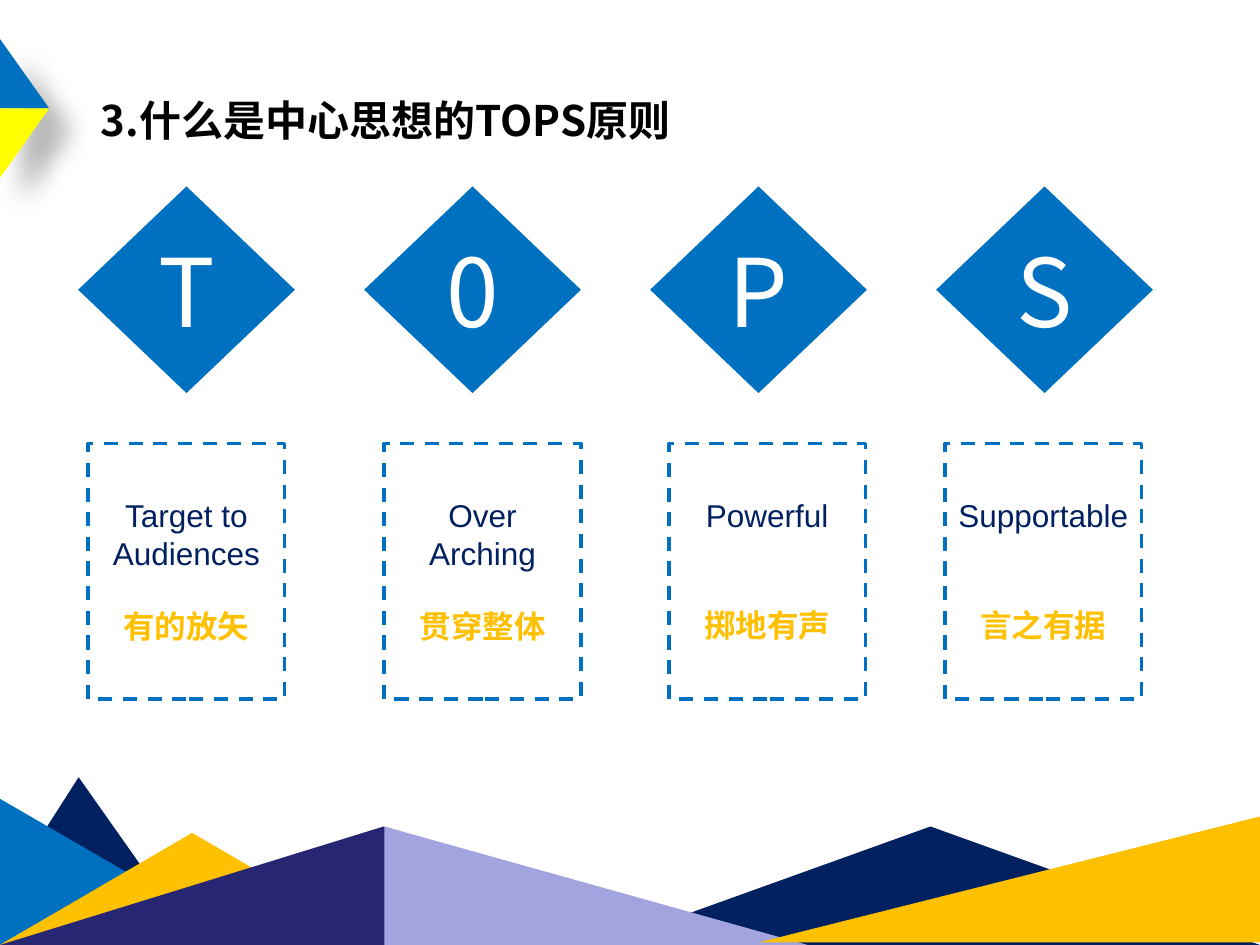
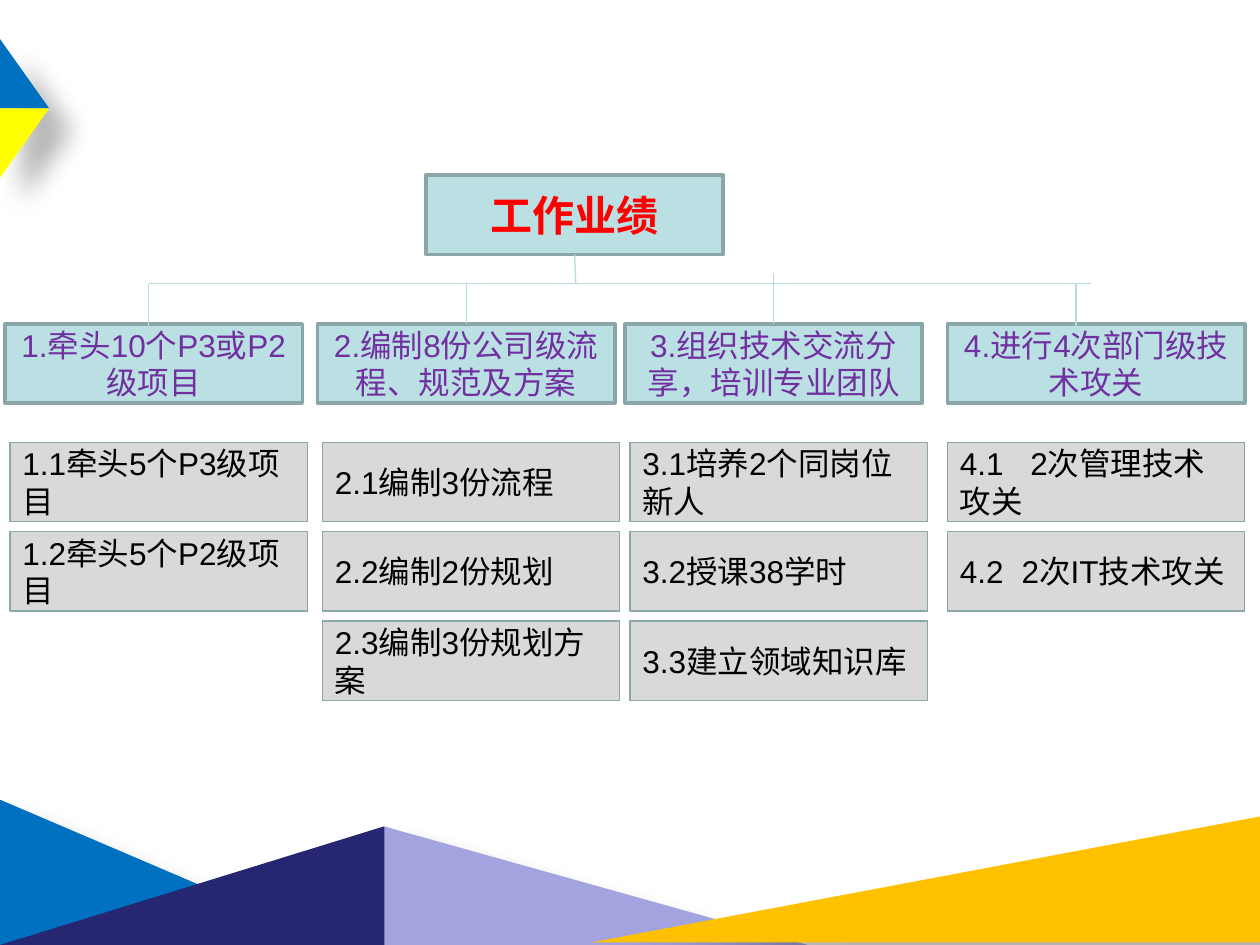
from lxml import etree
from pptx import Presentation
from pptx.dml.color import RGBColor
from pptx.enum.dml import MSO_LINE
from pptx.enum.shapes import MSO_CONNECTOR, MSO_SHAPE
from pptx.enum.text import MSO_ANCHOR, MSO_AUTO_SIZE, PP_ALIGN
from pptx.oxml.ns import qn
from pptx.util import Inches, Pt

TRI, RIGHT = MSO_SHAPE.ISOSCELES_TRIANGLE, MSO_SHAPE.RIGHT_TRIANGLE
RECT, GEM = MSO_SHAPE.RECTANGLE, MSO_SHAPE.DIAMOND
LINE, DASH = MSO_CONNECTOR.STRAIGHT, MSO_LINE.DASH
LEFT, MID = PP_ALIGN.LEFT, PP_ALIGN.CENTER
TOP, CORE = MSO_ANCHOR.TOP, MSO_ANCHOR.MIDDLE
FIXED = MSO_AUTO_SIZE.NONE

HUES = {
    "blue": "0070C0", "yellow": "FFFF00", "gold": "FFC000", "navy": "002060",
    "indigo": "262673", "lilac": "A3A3E0", "white": "FFFFFF", "black": "000000",
    "red": "FF0000", "purple": "7030A0", "mint": "BBE0E3", "edge": "8AA6A8",
    "link": "B6DCDF", "grey": "D9D9D9",
}
SANS, HAN = "Arial", "Noto Sans CJK SC"


def hue(name):
    """Return the named colour."""
    return RGBColor.from_string(HUES[name])


class Deck:
    """Holds the shared style and the current slide."""

    def __init__(self):
        self.show = Presentation()
        self.show.slide_width, self.show.slide_height = Inches(10), Inches(7.5)

    def page(self):
        """Start a slide with a title."""
        self.slide = self.show.slides.add_slide(self.show.slide_layouts[5])

    def paint(self, shape, fill, edge=None, width=0.0, dash=None):
        """Set the fill and outline of a shape."""
        shape.fill.solid()
        shape.fill.fore_color.rgb = hue(fill)
        if edge:
            shape.line.color.rgb = hue(edge)
            shape.line.width = Pt(width)
            if dash:
                shape.line.dash_style = dash
        else:
            shape.line.fill.background()

    def form(self, kind, spot, fill, **edge):
        """Add a preset shape."""
        shape = self.slide.shapes.add_shape(kind, *map(Inches, spot))
        shape.shadow.inherit = False
        self.paint(shape, fill, **edge)
        return shape

    def peak(self, kind, spot, fill, turn=0, shade=False, flip=False):
        """Add a triangle, turned, flipped or shaded at will."""
        shape = self.form(kind, spot, fill)
        shape.rotation = turn
        props = shape._element.spPr
        if flip:
            props.xfrm.set("flipH", "1")
        if shade:
            cast = etree.SubElement(
                props.find(qn("a:effectLst")), qn("a:outerShdw"),
                blurRad=str(Pt(15)), dist=str(Pt(18)), dir="2700000",
                algn="tl", rotWithShape="0")
            tone = etree.SubElement(cast, qn("a:srgbClr"), val=HUES["black"])
            etree.SubElement(tone, qn("a:alpha"), val="30000")

    def label(self, shape, lines, anchor=CORE, align=MID, tab=None, lead=None):
        """Fill a shape with lines of (text, size, font, colour, bold, gap)."""
        frame = shape.text_frame
        frame.word_wrap, frame.auto_size = True, FIXED
        frame.vertical_anchor = anchor
        for i, (text, size, font, tint, bold, gap) in enumerate(lines):
            para = frame.add_paragraph() if i else frame.paragraphs[0]
            para.alignment = align
            para.space_before = Pt(gap)
            if lead:
                para.line_spacing = Pt(lead)
            if tab:
                stops = etree.SubElement(para._p.get_or_add_pPr(), qn("a:tabLst"))
                etree.SubElement(stops, qn("a:tab"), pos=str(Inches(tab)), algn="l")
            run = para.add_run()
            run.text = text
            run.font.name, run.font.size = font, Pt(size)
            run.font.bold, run.font.color.rgb = bold, hue(tint)
            east = etree.Element(qn("a:ea"), typeface=HAN)
            run._r.rPr.find(qn("a:latin")).addnext(east)

    def title(self, text, spot, tint, **style):
        """Place and format the title."""
        shape = self.slide.shapes.title
        shape.left, shape.top, shape.width, shape.height = map(Inches, spot)
        self.label(shape, [(text, 24, HAN, tint, True, 0)], **style)
        return shape

    def link(self, x1, y1, x2, y2):
        """Add a thin line."""
        line = self.slide.shapes.add_connector(LINE, *map(Inches, (x1, y1, x2, y2)))
        line.line.color.rgb, line.line.width = hue("link"), Pt(0.75)
        etree.SubElement(line._element.spPr, qn("a:effectLst"))

    def flag(self):
        """Draw the two-tone flag at the left edge."""
        self.peak(RIGHT, (0, 0.31, 0.39, 0.55), "blue", shade=True)
        self.peak(RIGHT, (0, 0.86, 0.39, 0.55), "yellow", 180, True, True)

    def hills(self, span, shade=False):
        """Draw the shared hills, the gold one as wide as span."""
        self.peak(TRI, (0, 6.56, 6.09, 0.94), "indigo", shade=shade)
        self.peak(RIGHT, (3.05, 6.56, 3.36, 0.94), "lilac", shade=shade)
        spot = (10 - span / 2 - 0.5, 6.98 - span / 2, 1, span)
        self.peak(RIGHT, spot, "gold", 270, shade)


def tops(deck):
    """Build the slide on the four principles."""
    deck.page()
    deck.flag()
    deck.title("3.什么是中心思想的TOPS原则", (0.7, 0.7, 4.77, 0.51), "black",
               anchor=TOP, align=LEFT, lead=29)
    cards = [
        ("T", 0.7, "Target to Audiences", "有的放矢", 20),
        ("0", 3.05, "Over Arching", "贯穿整体", 20),
        ("P", 5.31, "Powerful", "掷地有声", 41),
        ("S", 7.5, "Supportable", "言之有据", 41),
    ]
    for i, (mark, left, name, gloss, gap) in enumerate(cards):
        gem = deck.form(GEM, (0.62 + 2.27 * i, 1.48, 1.72, 1.64), "blue")
        deck.label(gem, [(mark, 54, HAN, "white", False, 0)])
        card = deck.form(RECT, (left, 3.52, 1.56, 2.03), "white",
                         edge="blue", width=2, dash=DASH)
        card.text_frame.margin_top = Inches(0.42)
        deck.label(card, [(name, 18, SANS, "navy", False, 0),
                          (gloss, 18, HAN, "gold", True, gap)], anchor=TOP)
    deck.peak(TRI, (0.33, 6.33, 1.16, 1.42), "navy", 122.6)
    deck.peak(TRI, (4.77, 6.56, 5.23, 0.94), "navy")
    deck.peak(TRI, (-0.08, 6.42, 1.16, 1), "blue", 90)
    deck.peak(TRI, (0, 6.61, 3.05, 0.89), "gold")
    deck.hills(3.98)


def results(deck):
    """Build the tree of work results."""
    wide, high = 2.36, 0.63
    deck.page()
    deck.peak(TRI, (0.12, 6.22, 1.47, 1.72), "blue", 90, True)
    deck.hills(5.31, True)
    deck.flag()
    root = deck.title("工作业绩", (3.38, 1.39, wide, high), "red")
    deck.paint(root, "mint", "edge", 2)
    teams = [
        (0.04, 0.08, "1.牵头10个P3或P2级项目",
         ["1.1牵头5个P3级项目", "1.2牵头5个P2级项目"]),
        (2.52, 2.56, "2.编制8份公司级流程、规范及方案",
         ["2.1编制3份流程", "2.2编制2份规划", "2.3编制3份规划方案"]),
        (4.96, 5, "3.组织技术交流分享，培训专业团队",
         ["3.1培养2个同岗位新人", "3.2授课38学时", "3.3建立领域知识库"]),
        (7.52, 7.52, "4.进行4次部门级技术攻关",
         ["4.1\t2次管理技术攻关", "4.2\t2次IT技术攻关"]),
    ]
    for left, inner, head, tasks in teams:
        box = deck.form(RECT, (left, 2.57, wide, high), "mint", edge="edge", width=2)
        deck.label(box, [(head, 18, SANS, "purple", False, 0)])
        for row, task in enumerate(tasks):
            box = deck.form(RECT, (inner, 3.51 + 0.71 * row, wide, high), "grey",
                            edge="edge")
            tab = 0.56 - 0.07 * row if "\t" in task else None
            deck.label(box, [(task, 18, SANS, "black", False, 0)],
                       align=LEFT, tab=tab)
    deck.link(4.56, 2.02, 4.57, 2.25)
    deck.link(1.18, 2.25, 8.66, 2.25)
    for x, start, end in [(1.18, 2.25, 2.65), (3.7, 2.25, 2.57),
                          (6.14, 2.17, 2.57), (8.54, 2.25, 2.65)]:
        deck.link(x, start, x, end)


def main():
    """Build and save both slides."""
    deck = Deck()
    tops(deck)
    results(deck)
    deck.show.save("out.pptx")


if __name__ == "__main__":
    main()
